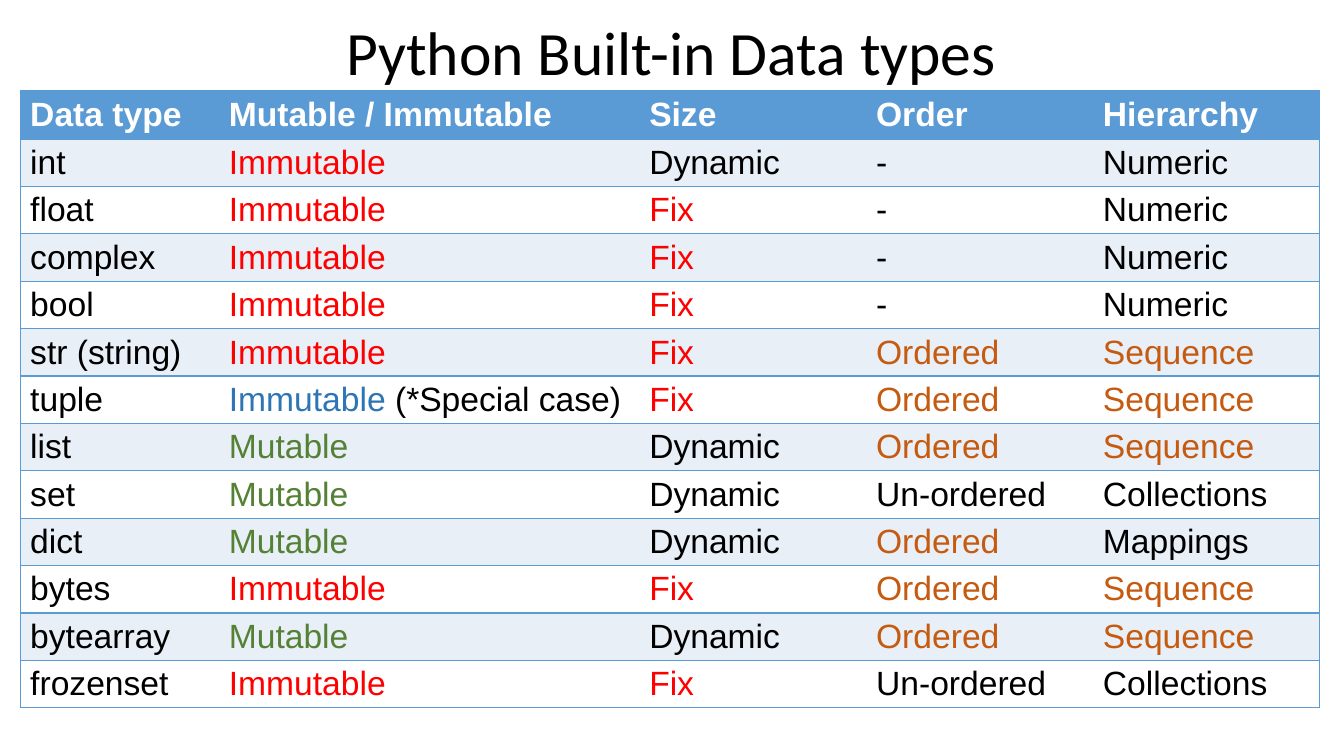
from lxml.etree import SubElement
from pptx import Presentation
from pptx.dml.color import RGBColor
from pptx.enum.text import MSO_ANCHOR as Anchor, PP_ALIGN as Align
from pptx.oxml.ns import qn
from pptx.util import Inches, Pt

BLACK, WHITE, RED = "000000", "FFFFFF", "FF0000"
BLUE, PALE_BLUE = "5B9BD5", "E9EFF7"
VALUE_COLORS = {"Immutable": RED, "Fix": RED, "Mutable": "548135",
                "Ordered": "C55A11", "Sequence": "C55A11"}
SPECIAL_CASE = " (*Special case)"

HEADINGS = ["Data type", "Mutable / Immutable", "Size", "Order", "Hierarchy"]
DATA_TYPES = [
    ["int", "Immutable", "Dynamic", "-", "Numeric"],
    ["float", "Immutable", "Fix", "-", "Numeric"],
    ["complex", "Immutable", "Fix", "-", "Numeric"],
    ["bool", "Immutable", "Fix", "-", "Numeric"],
    ["str (string)", "Immutable", "Fix", "Ordered", "Sequence"],
    ["tuple", "Immutable" + SPECIAL_CASE, "Fix", "Ordered", "Sequence"],
    ["list", "Mutable", "Dynamic", "Ordered", "Sequence"],
    ["set", "Mutable", "Dynamic", "Un-ordered", "Collections"],
    ["dict", "Mutable", "Dynamic", "Ordered", "Mappings"],
    ["bytes", "Immutable", "Fix", "Ordered", "Sequence"],
    ["bytearray", "Mutable", "Dynamic", "Ordered", "Sequence"],
    ["frozenset", "Immutable", "Fix", "Un-ordered", "Collections"],
]
COLUMN_WIDTHS = [1.97, 4.17, 2.25, 2.25, 2.25]
HEADER_HEIGHT, ROW_HEIGHT = 0.48, 0.47


def add_text(paragraph, text, size=24, font="Arial", color=BLACK, bold=False):
    run = paragraph.add_run()
    run.text = text
    run.font.size = Pt(size)
    run.font.name = font
    run.font.bold = bold
    run.font.color.rgb = RGBColor.from_string(color)


def set_borders(cell, visible_sides):
    """Draw the given sides (letters of LRTB) in blue and clear the others."""
    properties = cell._tc.get_or_add_tcPr()
    for side in "LRTB":
        line = SubElement(properties, qn(f"a:ln{side}"), w=str(Pt(1)))
        if side in visible_sides:
            fill = SubElement(line, qn("a:solidFill"))
            SubElement(fill, qn("a:srgbClr"), val=BLUE)
        else:
            SubElement(line, qn("a:noFill"))


prs = Presentation()
prs.slide_width, prs.slide_height = Inches(13.33), Inches(7.5)
slide = prs.slides.add_slide(prs.slide_layouts[6])

title = slide.shapes.add_textbox(Inches(0.91), Inches(0.17), Inches(11.5), Inches(0.77)).text_frame
title.word_wrap = True
title.vertical_anchor = Anchor.MIDDLE
heading = title.paragraphs[0]
heading.alignment = Align.CENTER
heading.line_spacing = 0.9
add_text(heading, "Python Built-in Data types", size=44, font="Calibri")

rows = [HEADINGS] + DATA_TYPES
table_height = HEADER_HEIGHT + ROW_HEIGHT * len(DATA_TYPES)
table = slide.shapes.add_table(len(rows), len(HEADINGS), Inches(0.2), Inches(0.9),
                               Inches(sum(COLUMN_WIDTHS)), Inches(table_height)).table
table.horz_banding = False
for column, width in zip(table.columns, COLUMN_WIDTHS):
    column.width = Inches(width)

last_column = len(HEADINGS) - 1
for r, values in enumerate(rows):
    is_header = r == 0
    table.rows[r].height = Inches(HEADER_HEIGHT if is_header else ROW_HEIGHT)
    row_fill = BLUE if is_header else PALE_BLUE if r % 2 else WHITE
    for c, value in enumerate(values):
        cell = table.cell(r, c)
        cell.margin_bottom = Inches(0.02)
        set_borders(cell, "TB" + ("L" if c == 0 else "R" if c == last_column else ""))
        cell.fill.solid()
        cell.fill.fore_color.rgb = RGBColor.from_string(row_fill)
        paragraph = cell.text_frame.paragraphs[0]
        if is_header:
            add_text(paragraph, value, color=WHITE, bold=True)
        elif value.endswith(SPECIAL_CASE):
            add_text(paragraph, value.removesuffix(SPECIAL_CASE), color="2E75B5")
            add_text(paragraph, SPECIAL_CASE)
        else:
            add_text(paragraph, value, color=VALUE_COLORS.get(value, BLACK))

prs.save("out.pptx")
